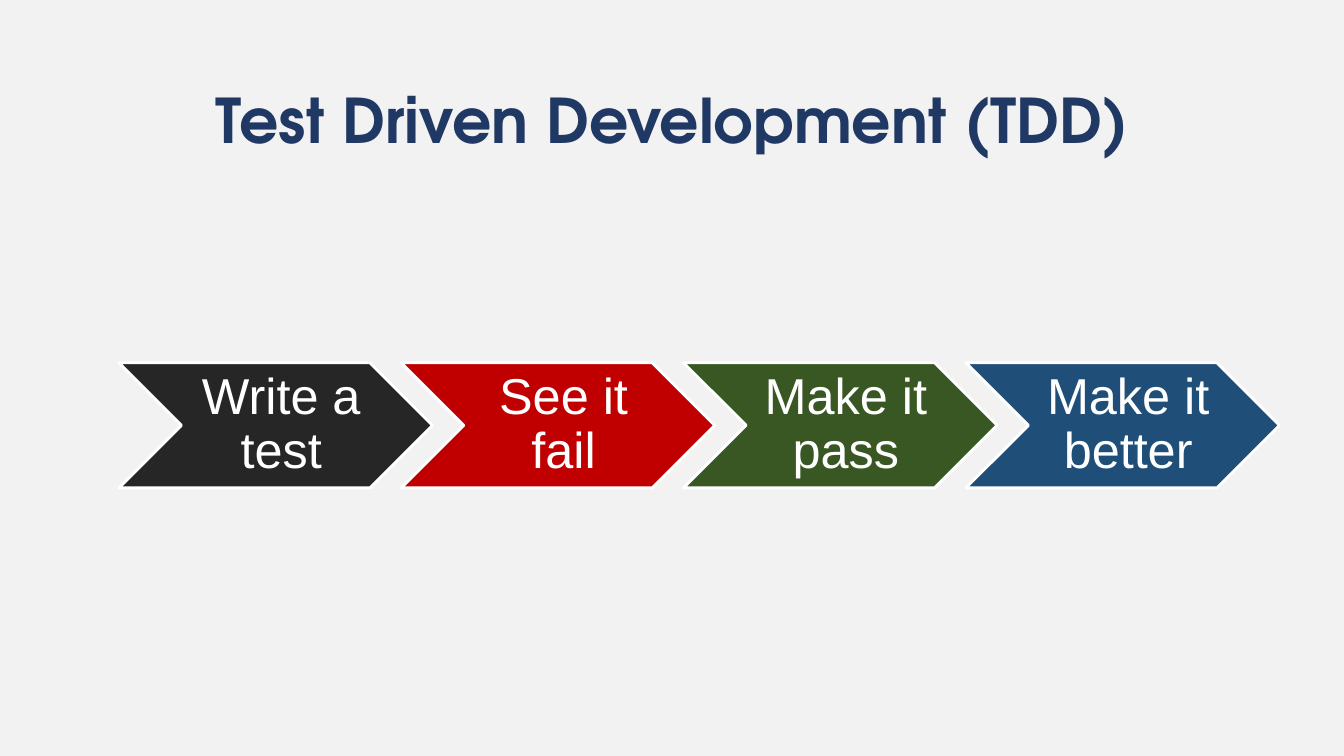
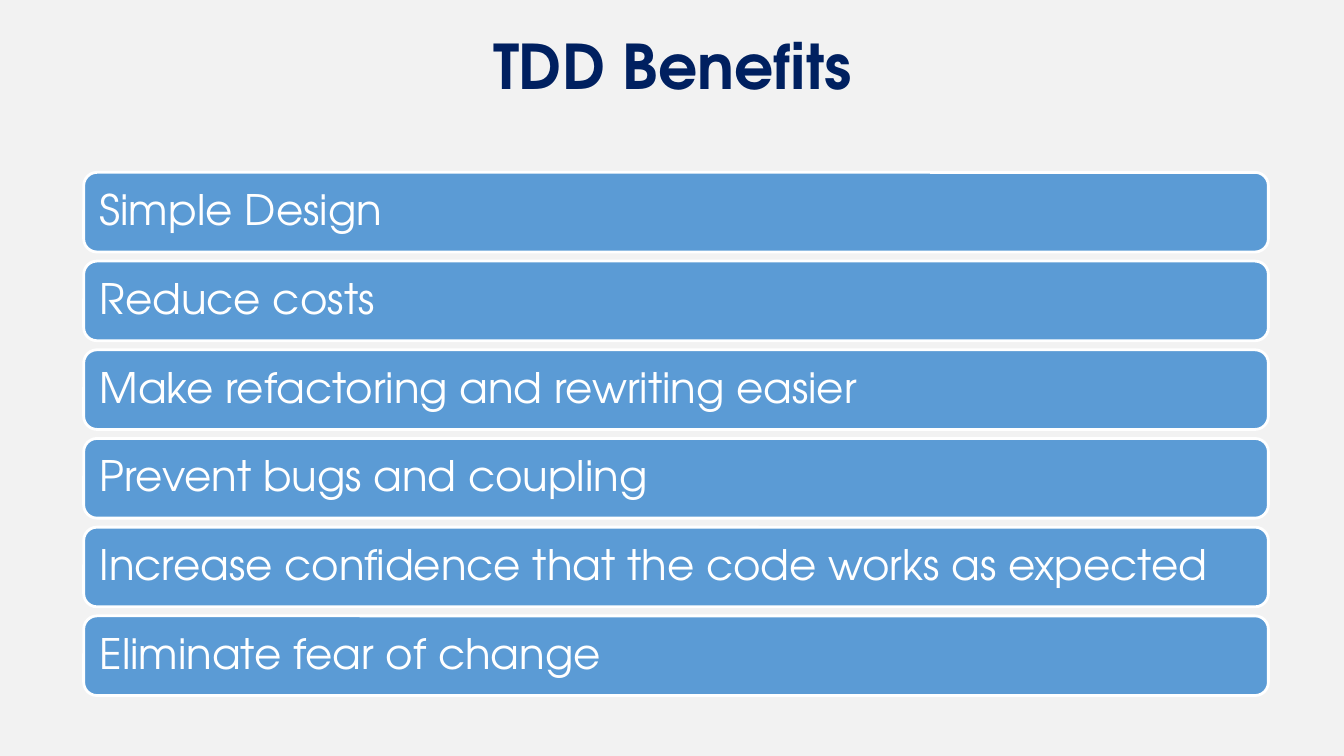
from pptx import Presentation
from pptx.dml.color import RGBColor
from pptx.enum.shapes import MSO_SHAPE
from pptx.enum.text import MSO_ANCHOR, PP_ALIGN
from pptx.util import Inches, Pt

CHEVRON = MSO_SHAPE.CHEVRON
ROUND = MSO_SHAPE.ROUNDED_RECTANGLE
LEFT, CENTER = PP_ALIGN.LEFT, PP_ALIGN.CENTER
MIDDLE, BOTTOM = MSO_ANCHOR.MIDDLE, MSO_ANCHOR.BOTTOM

HEAD = "TeX Gyre Adventor"
BODY = "Arial"
WHITE = "FFFFFF"
PAPER = "F2F2F2"
BLUE = "5B9BD5"

STEPS = [
    ("Write a test", "262626"),
    ("See it fail", "C00000"),
    ("Make it pass", "385723"),
    ("Make it better", "1F4E79"),
]
GAINS = [
    "Simple Design",
    "Reduce costs",
    "Make refactoring and rewriting easier",
    "Prevent bugs and coupling",
    "Increase confidence that the code works as expected",
    "Eliminate fear of change",
]


def paint(color, value):
    color.rgb = RGBColor.from_string(value)


def write(shape, text, size, font=HEAD, color=WHITE, bold=False,
          align=CENTER, anchor=MIDDLE, inset=(0.1, 0.05, 0.1, 0.05)):
    """Set the text of a shape; inset is left, top, right, bottom in inches."""
    frame = shape.text_frame
    frame.word_wrap = True
    frame.vertical_anchor = anchor
    (frame.margin_left, frame.margin_top,
     frame.margin_right, frame.margin_bottom) = map(Inches, inset)
    para = frame.paragraphs[0]
    para.alignment = align
    para.line_spacing = 0.9
    run = para.add_run()
    run.text = text
    run.font.name = font
    run.font.size = Pt(size)
    run.font.bold = bold
    paint(run.font.color, color)


class Deck:
    def __init__(self):
        self.prs = Presentation()
        self.prs.slide_width = Inches(13.33)
        self.prs.slide_height = Inches(7.5)
        fill = self.prs.slide_master.background.fill
        fill.solid()
        paint(fill.fore_color, PAPER)
        self.slide = None

    def page(self):
        self.slide = self.prs.slides.add_slide(self.prs.slide_layouts[6])

    def title(self, text, box, color, anchor=MIDDLE):
        shape = self.slide.shapes.add_textbox(*map(Inches, box))
        write(shape, text, 44, color=color, bold=True, anchor=anchor)

    def block(self, kind, box, fill):
        """Add a filled shape with a white outline."""
        shape = self.slide.shapes.add_shape(kind, *map(Inches, box))
        shape.shadow.inherit = False
        shape.fill.solid()
        paint(shape.fill.fore_color, fill)
        paint(shape.line.color, WHITE)
        shape.line.width = Pt(2)
        return shape

    def steps(self, items, left=1.18, top=3.6, pitch=2.8):
        for i, (text, fill) in enumerate(items):
            shape = self.block(CHEVRON, (left + i * pitch, top, 3.11, 1.24), fill)
            write(shape, text, 36, font=BODY, inset=(0.16, 0.05, 0.05, 0.05))

    def bars(self, items, left=0.83, top=1.71, pitch=0.88):
        for i, text in enumerate(items):
            shape = self.block(ROUND, (left, top + i * pitch, 11.75, 0.79), BLUE)
            write(shape, text, 30, align=LEFT, inset=(0.12,) * 4)


def main():
    deck = Deck()

    deck.page()
    deck.title("Test Driven Development (TDD)", (0.92, 0.61, 11.5, 1.24), "203864")
    deck.steps(STEPS)

    deck.page()
    deck.title("TDD Benefits", (1.33, 0.06, 10.68, 1.01), "002060", anchor=BOTTOM)
    deck.bars(GAINS)

    deck.prs.save("out.pptx")


if __name__ == "__main__":
    main()
